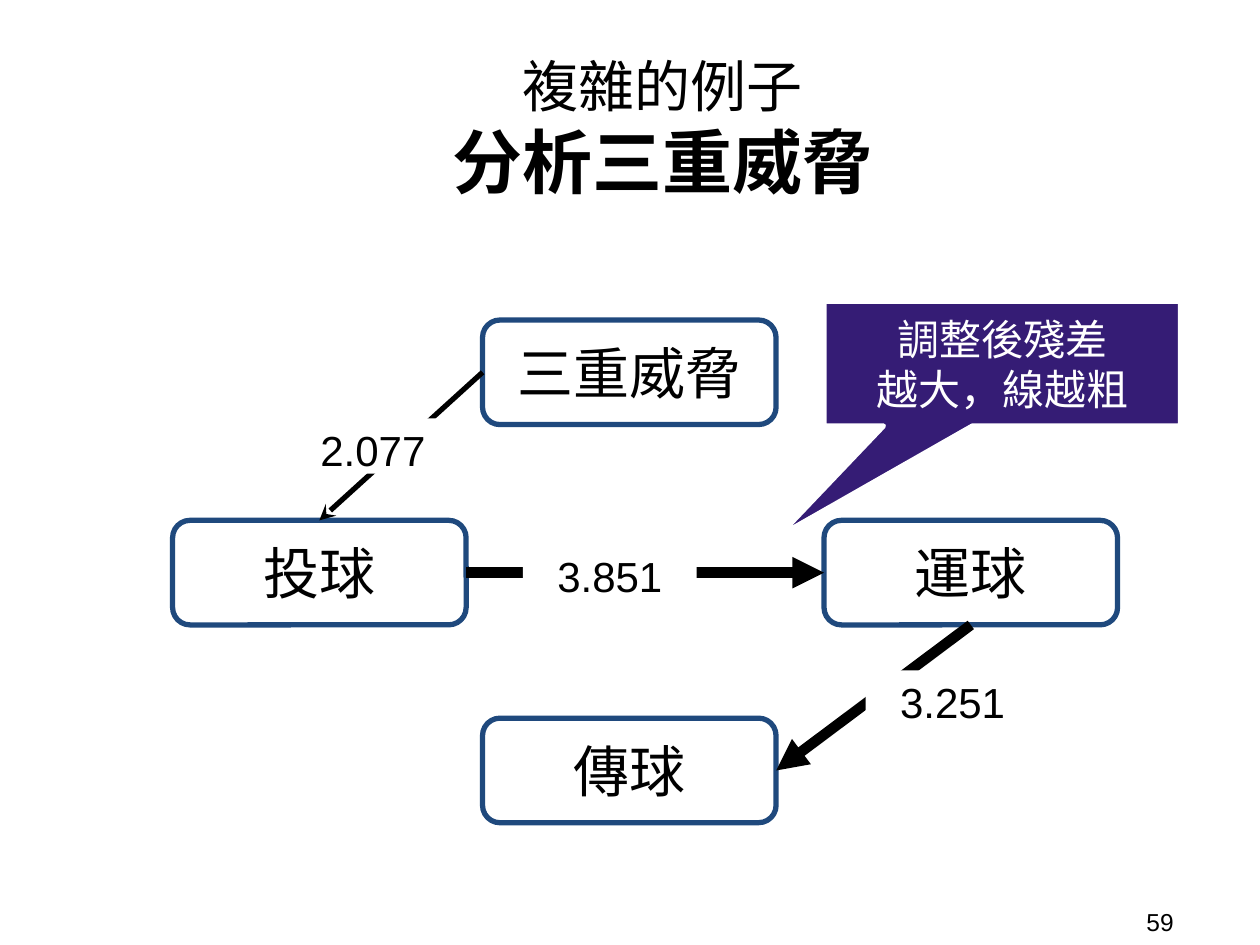
from dataclasses import dataclass

from lxml import etree
from pptx import Presentation
from pptx import util as u
from pptx.dml import color
from pptx.enum import shapes, text
from pptx.oxml import ns

PX = 9144
COLORS = {"ink": "000000", "paper": "FFFFFF", "border": "1F497D", "callout": "351C75"}
CJK_FONT = "Noto Sans CJK TC"
NODE_SIZE = (233, 83)
LABEL_SIZE = (138, 44)
TOP, LEFT, BOTTOM, RIGHT = range(4)
SHAPE = shapes.MSO_SHAPE
CENTER = text.PP_ALIGN.CENTER


@dataclass
class Node:
    name: str
    left: int
    top: int


@dataclass
class Link:
    start: str
    start_site: int
    end: str
    end_site: int
    weight: int
    head: str
    value: str
    label_left: int
    label_top: int


@dataclass
class Line:
    words: str
    size: int
    color: str = "ink"
    font: str = "Arial"
    bold: bool = False


NODES = [
    Node("三重威脅", 383, 254),
    Node("投球", 137, 413),
    Node("傳球", 383, 570),
    Node("運球", 654, 413),
]
LINKS = [
    Link("三重威脅", LEFT, "投球", TOP, 3, "stealth", "2.077", 227, 332),
    Link("投球", RIGHT, "運球", LEFT, 6, "triangle", "3.851", 415, 432),
    Link("運球", BOTTOM, "傳球", RIGHT, 6, "triangle", "3.251", 687, 532),
]


def rgb(name: str) -> color.RGBColor:
    return color.RGBColor.from_string(COLORS[name])


def px(*lengths: int) -> list[u.Emu]:
    return [u.Emu(length * PX) for length in lengths]


def assign(target, values: dict) -> None:
    for name, value in values.items():
        setattr(target, name, value)


def write(box, lines: list[Line], align=CENTER, spacing=None, inset_y: int = 10) -> None:
    frame = box.text_frame
    side, edge = px(10, inset_y)
    assign(frame, {
        "word_wrap": True,
        "auto_size": text.MSO_AUTO_SIZE.NONE,
        "vertical_anchor": text.MSO_ANCHOR.MIDDLE,
        "margin_left": side, "margin_right": side,
        "margin_top": edge, "margin_bottom": edge,
    })
    for index, line in enumerate(lines):
        para = frame.add_paragraph() if index else frame.paragraphs[0]
        assign(para, {"alignment": align, "line_spacing": spacing})
        span = para.add_run()
        span.text = line.words
        assign(span.font, {"name": line.font, "size": u.Pt(line.size), "bold": line.bold})
        span.font.color.rgb = rgb(line.color)
        latin = span.font._element.find(ns.qn("a:latin"))
        east_asian = etree.Element(ns.qn("a:ea"), typeface=CJK_FONT)
        latin.addnext(east_asian)


def add_box(page, kind, place: tuple, fill: str, border: str | None = None):
    box = page.shapes.add_shape(kind, *px(*place))
    box.shadow.inherit = False
    box.fill.solid()
    box.fill.fore_color.rgb = rgb(fill)
    if border:
        box.line.color.rgb = rgb(border)
        box.line.width = u.Pt(3)
    else:
        box.line.fill.background()
    return box


def add_node(page, node: Node):
    place = (node.left, node.top, *NODE_SIZE)
    box = add_box(page, SHAPE.ROUNDED_RECTANGLE, place, "paper", "border")
    write(box, [Line(node.name, 32)])
    return box


def add_arrow(page, link: Link, boxes: dict) -> None:
    arrow = page.shapes.add_connector(shapes.MSO_CONNECTOR.STRAIGHT, 0, 0, 0, 0)
    arrow.begin_connect(boxes[link.start], link.start_site)
    arrow.end_connect(boxes[link.end], link.end_site)
    arrow.line.color.rgb = rgb("ink")
    arrow.line.width = u.Pt(link.weight)
    etree.SubElement(arrow.line._get_or_add_ln(), ns.qn("a:tailEnd"), type=link.head)
    etree.SubElement(arrow._element.spPr, ns.qn("a:effectLst"))


def add_label(page, link: Link) -> None:
    place = (link.label_left, link.label_top, *LABEL_SIZE)
    box = add_box(page, SHAPE.RECTANGLE, place, "paper")
    write(box, [Line(link.value, 24)], spacing=1.15)


def add_callout(page) -> None:
    place = (654, 239, 283, 99)
    box = add_box(page, SHAPE.ROUNDED_RECTANGULAR_CALLOUT, place, "callout", "paper")
    for index, value in enumerate((-0.63, 1.39, 0)):
        box.adjustments[index] = value
    write(box, [Line(words, 24, "paper") for words in ("調整後殘差", "越大，線越粗")])


def main() -> None:
    deck = Presentation()
    deck.slide_width, deck.slide_height = px(1000, 750)
    page = deck.slides.add_slide(deck.slide_layouts[5])

    title = page.shapes.title
    left, top, width, height = px(78, 33, 896, 136)
    assign(title, {"left": left, "top": top, "width": width, "height": height})
    write(title, [
        Line("複雜的例子", 32, font=CJK_FONT),
        Line("分析三重威脅", 40, font=CJK_FONT, bold=True),
    ])

    number = page.shapes.add_textbox(*px(900, 717, 92, 29))
    write(number, [Line("59", 14)], align=text.PP_ALIGN.LEFT, inset_y=5)

    boxes = {node.name: add_node(page, node) for node in NODES}
    for link in LINKS:
        add_arrow(page, link, boxes)
    for link in LINKS:
        add_label(page, link)
    add_callout(page)

    deck.save("out.pptx")


if __name__ == "__main__":
    main()
